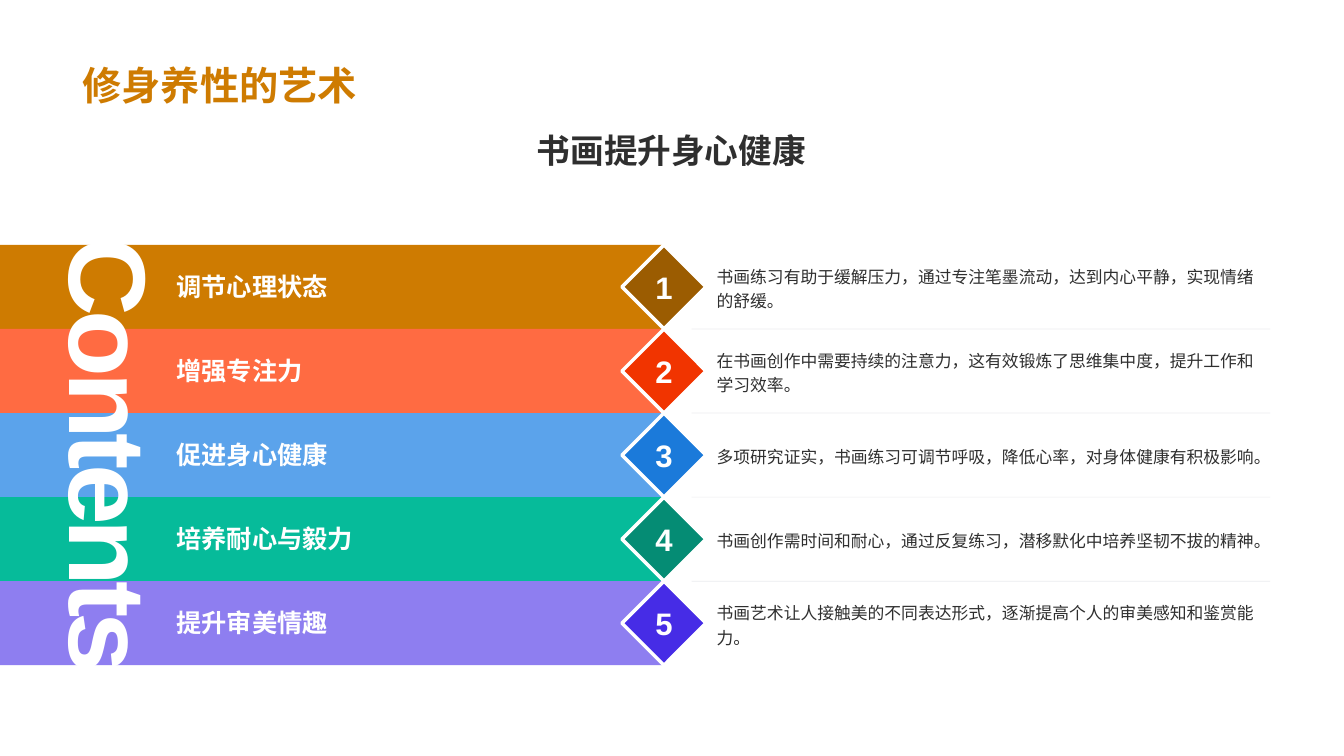
from lxml import etree
from pptx import Presentation
from pptx.dml.color import RGBColor
from pptx.enum.shapes import MSO_CONNECTOR, MSO_SHAPE
from pptx.enum.text import MSO_ANCHOR, PP_ALIGN
from pptx.oxml.ns import qn
from pptx.util import Inches, Pt

RECT, DIAMOND = MSO_SHAPE.RECTANGLE, MSO_SHAPE.DIAMOND
STRAIGHT = MSO_CONNECTOR.STRAIGHT
LEFT, CENTER = PP_ALIGN.LEFT, PP_ALIGN.CENTER
TOP, MIDDLE, BOTTOM = MSO_ANCHOR.TOP, MSO_ANCHOR.MIDDLE, MSO_ANCHOR.BOTTOM

CJK, LATIN = "Noto Sans CJK SC", "Arial"
WHITE, INK, AMBER, RULE = "FFFFFF", "2F2F2F", "CE7B01", "778495"

# Shares of the slide, in percent of its width (x) and height (y)
MARGIN, CONTENT_WIDTH = 5.4, 89.1
ROWS_TOP, ROW = 32.4, 11.12
BAND_WIDTH = 49.42
DIAMOND_LEFT, DIAMOND_WIDTH = 46.28, 6.25
RULE_LEFT, RIGHT = 51.46, 94.5
LABEL_LEFT, LABEL_WIDTH, LABEL_HEIGHT = 12.4, 33, 5.2
DETAIL_LEFT, DETAIL_HEIGHT = 52.58, 8.68

# Band colour, diamond colour, heading, detail
BENEFITS = [
    (AMBER, "9B5C01", "调节心理状态",
     "书画练习有助于缓解压力，通过专注笔墨流动，达到内心平静，实现情绪的舒缓。"),
    ("FF6B42", "F13400", "增强专注力",
     "在书画创作中需要持续的注意力，这有效锻炼了思维集中度，提升工作和学习效率。"),
    ("5BA3EB", "1B7ADA", "促进身心健康",
     "多项研究证实，书画练习可调节呼吸，降低心率，对身体健康有积极影响。"),
    ("06BB9A", "058C74", "培养耐心与毅力",
     "书画创作需时间和耐心，通过反复练习，潜移默化中培养坚韧不拔的精神。"),
    ("8E7EF0", "462CE6", "提升审美情趣",
     "书画艺术让人接触美的不同表达形式，逐渐提高个人的审美感知和鉴赏能力。"),
]


def rgb(code):
    return RGBColor.from_string(code)


def write(shape, text, size=12, color=INK, font=CJK, bold=False, align=LEFT,
          anchor=TOP, line_spacing=None, tracking=None, wrap=True, inset=None):
    """Fill a shape with one formatted run; tracking is in points, inset in inches."""
    frame = shape.text_frame
    frame.word_wrap = wrap
    frame.vertical_anchor = anchor
    if inset is not None:
        frame.margin_left = frame.margin_right = Inches(inset)
        frame.margin_top = frame.margin_bottom = Inches(inset)
    paragraph = frame.paragraphs[0]
    paragraph.alignment = align
    if line_spacing:
        paragraph.line_spacing = line_spacing
    run = paragraph.add_run()
    run.text = text
    run.font.size, run.font.bold, run.font.name = Pt(size), bold, font
    run.font.color.rgb = rgb(color)
    properties = run.font._element
    etree.SubElement(properties, qn("a:ea")).set("typeface", font)
    if tracking:
        properties.set("spc", str(round(tracking * 100)))


class Board:
    """Holds the slide and places elements by percent of its size."""

    def __init__(self, presentation):
        self.width = presentation.slide_width
        self.height = presentation.slide_height
        self.slide = presentation.slides.add_slide(presentation.slide_layouts[5])
        self.shapes = self.slide.shapes

    def box(self, x, y, w, h):
        return (round(x * self.width / 100), round(y * self.height / 100),
                round(w * self.width / 100), round(h * self.height / 100))

    def title(self, text, *place, **style):
        heading = self.shapes.title
        heading.left, heading.top, heading.width, heading.height = self.box(*place)
        write(heading, text, **style)

    def text(self, text, *place, **style):
        caption = self.shapes.add_textbox(*self.box(*place))
        write(caption, text, **style)
        return caption

    def sideways(self, text, center_x, center_y, length, depth, **style):
        """Text turned a quarter clockwise about its centre."""
        word = self.text(text, center_x - length / 2, center_y - depth / 2,
                         length, depth, **style)
        word.rotation = 90

    def shape(self, kind, *place, fill, outline=None, text=None, **style):
        block = self.shapes.add_shape(kind, *self.box(*place))
        block.shadow.inherit = False
        block.fill.solid()
        block.fill.fore_color.rgb = rgb(fill)
        if outline:
            block.line.color.rgb = rgb(outline)
            block.line.width = Pt(2.5)
        else:
            block.line.fill.background()
        if text:
            write(block, text, **style)

    def rule(self, left, right, y, color, opacity):
        x1, y1, length, _ = self.box(left, y, right - left, 0)
        divider = self.shapes.add_connector(STRAIGHT, x1, y1, x1 + length, y1)
        divider.line.color.rgb = rgb(color)
        divider.line.width = Pt(0.5)
        properties = divider._element.spPr
        tint = properties.find(".//" + qn("a:srgbClr"))
        etree.SubElement(tint, qn("a:alpha")).set("val", str(opacity * 1000))
        etree.SubElement(properties, qn("a:effectLst"))


def main():
    presentation = Presentation()
    presentation.slide_width, presentation.slide_height = Inches(13.33), Inches(7.5)
    board = Board(presentation)

    board.title("修身养性的艺术", MARGIN, 1.87, CONTENT_WIDTH, 13.07,
                size=28, color=AMBER, bold=True, anchor=BOTTOM)
    for row in range(1, len(BENEFITS)):
        board.rule(RULE_LEFT, RIGHT, ROWS_TOP + row * ROW, RULE, 15)
    board.text("书画提升身心健康", MARGIN, 16.53, CONTENT_WIDTH, 6.67,
               size=24, bold=True, align=CENTER)

    for row, (band, accent, heading, detail) in enumerate(BENEFITS):
        top = ROWS_TOP + row * ROW
        board.shape(RECT, 0, top, BAND_WIDTH, ROW, fill=band)
        board.shape(DIAMOND, DIAMOND_LEFT, top, DIAMOND_WIDTH, ROW, fill=accent,
                    outline=WHITE, text=str(row + 1), size=22.2, color=WHITE,
                    font=LATIN, bold=True, align=CENTER, anchor=MIDDLE,
                    wrap=False, inset=0)
        board.shape(RECT, DETAIL_LEFT, top + (ROW - DETAIL_HEIGHT) / 2,
                    RIGHT - DETAIL_LEFT, DETAIL_HEIGHT, fill=WHITE, text=detail,
                    anchor=MIDDLE, line_spacing=1.2)
        board.text(heading, LABEL_LEFT, top + (ROW - LABEL_HEIGHT) / 2,
                   LABEL_WIDTH, LABEL_HEIGHT, size=18, color=WHITE, bold=True,
                   anchor=BOTTOM)

    board.sideways("Contents", 8.44, ROWS_TOP + len(BENEFITS) * ROW / 2, 35.3, 16.1,
                   size=78, color=WHITE, font=LATIN, bold=True, align=CENTER,
                   anchor=MIDDLE, tracking=-3.8, wrap=False, inset=0)

    presentation.save("out.pptx")


if __name__ == "__main__":
    main()
